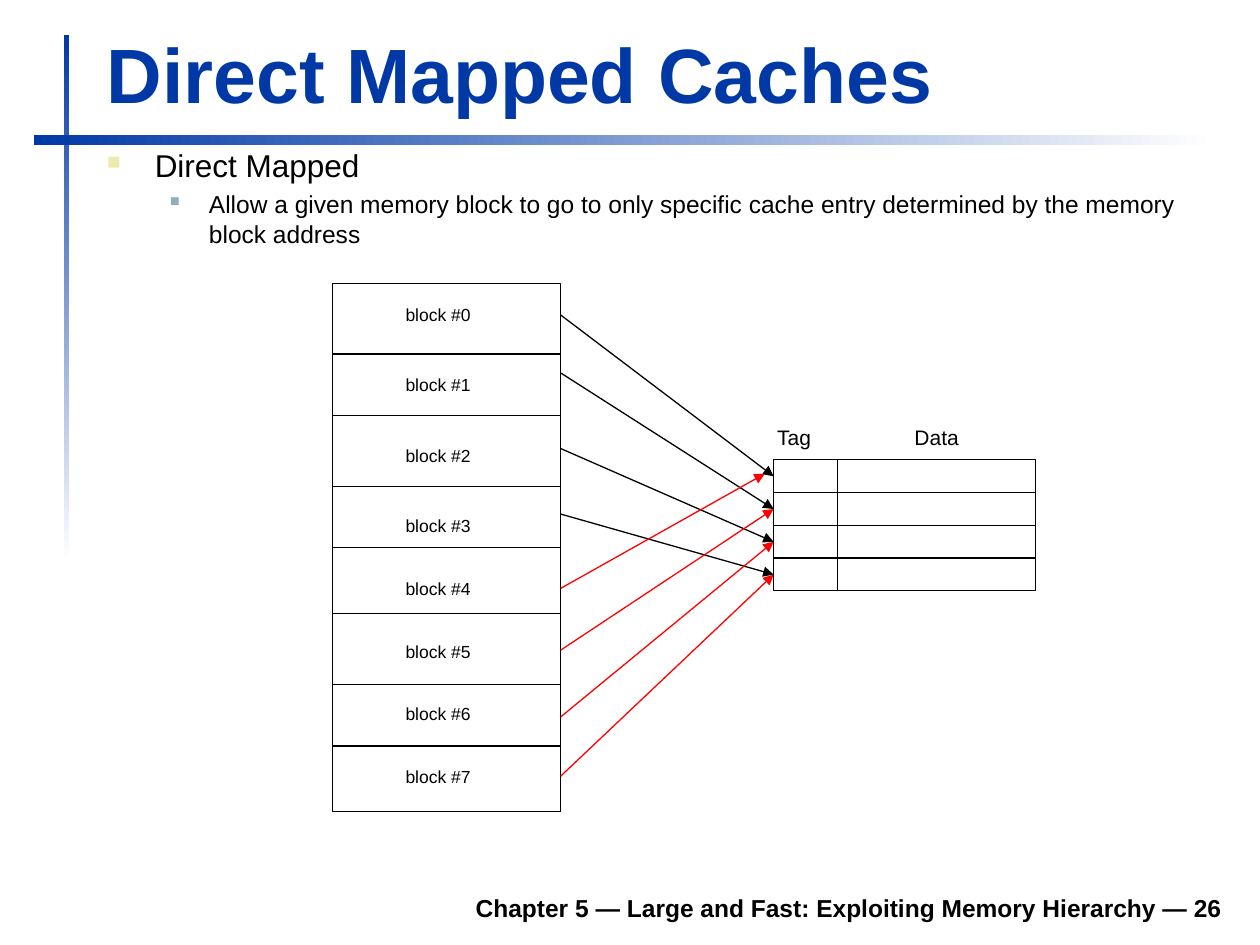
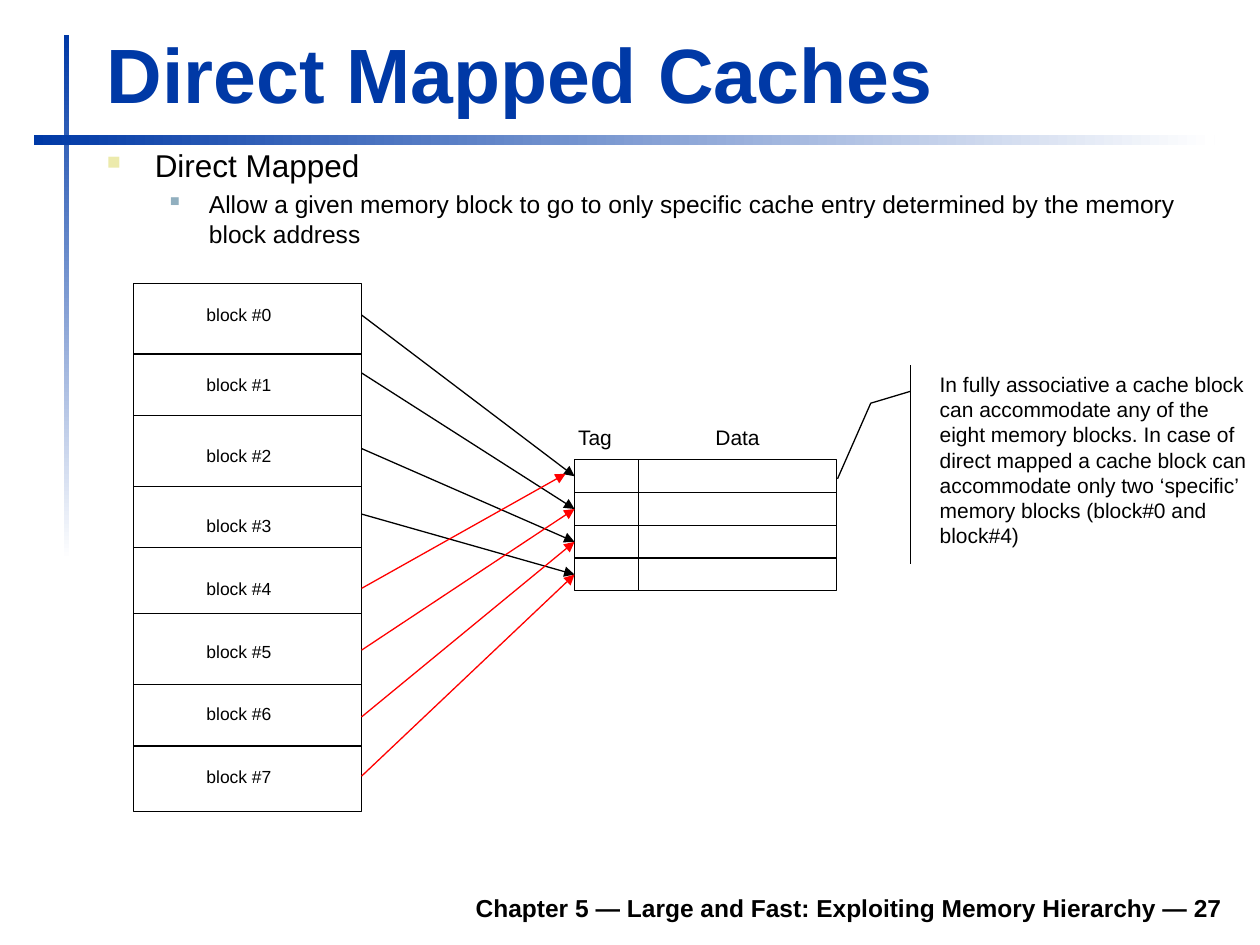
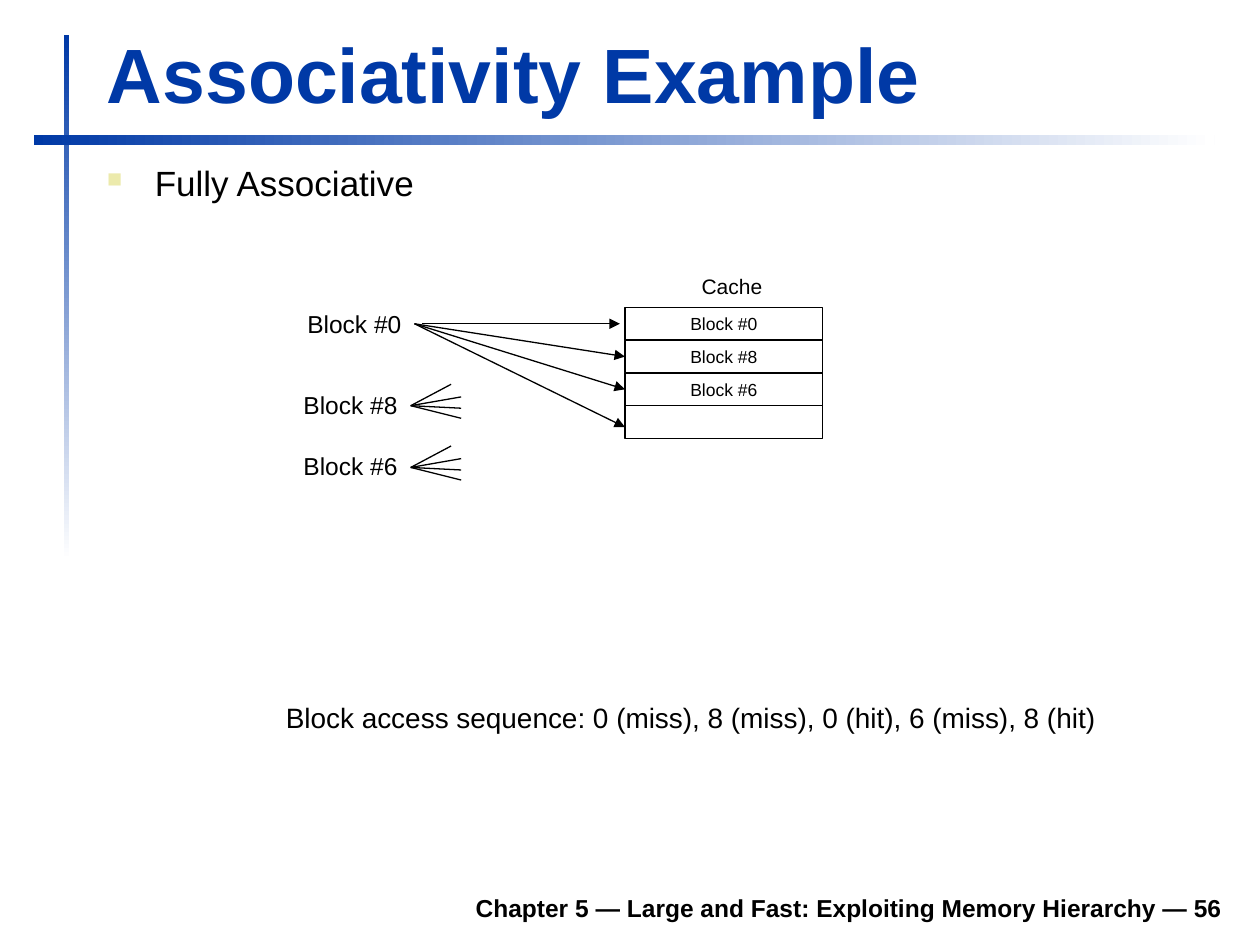
import pptx
import pptx.util
import pptx.dml.color
import pptx.enum.shapes
import pptx.enum.text
import pptx.oxml
import pptx.oxml.ns

Inches = pptx.util.Inches
Pt = pptx.util.Pt
rgb = pptx.dml.color.RGBColor.from_string
SHAPE = pptx.enum.shapes.MSO_SHAPE
ALIGN = pptx.enum.text.PP_ALIGN
ANCHOR = pptx.enum.text.MSO_ANCHOR

FONT = "Arial"
BLACK, BLUE, RED, WHITE = "000000", "0039A6", "FF0000", "FFFFFF"
NS = pptx.oxml.ns.nsdecls("a")


def block(slide, left, top, width, height, text="", size=10, color=BLACK, bold=False,
          kind=None, align=ALIGN.LEFT, anchor=ANCHOR.TOP, wrap=True):
    """Add a text box, or an outlined shape when a kind is given."""
    place = [Inches(n) for n in (left, top, width, height)]
    if kind is None:
        shape = slide.shapes.add_textbox(*place)
    else:
        shape = slide.shapes.add_shape(kind, *place)
        shape.shadow.inherit = False
        shape.fill.background()
        shape.line.color.rgb = rgb(BLACK)
        shape.line.width = Pt(0.75)
    frame = shape.text_frame
    frame.word_wrap = wrap
    frame.vertical_anchor = anchor
    if text:
        frame.text = text
        for para in frame.paragraphs:
            para.alignment = align
            font = para.runs[0].font
            font.name, font.size, font.bold = FONT, Pt(size), bold
            font.color.rgb = rgb(color)
    return shape


def link(slide, x1, y1, x2, y2, color=BLACK, arrow=False):
    """Add a straight line, with an arrowhead at its end on request."""
    line = slide.shapes.add_connector(
        pptx.enum.shapes.MSO_CONNECTOR.STRAIGHT, Inches(x1), Inches(y1), Inches(x2), Inches(y2))
    line.line.color.rgb = rgb(color)
    line.line.width = Pt(0.75)
    if arrow:
        line.line._get_or_add_ln().append(
            pptx.oxml.parse_xml(f'<a:tailEnd {NS} type="triangle"/>'))
    line._element.spPr.append(pptx.oxml.parse_xml(f"<a:effectLst {NS}/>"))
    return line


deck = pptx.Presentation()
deck.slide_width, deck.slide_height = Inches(10), Inches(7.5)

# Shared bands, title, bullets and footer
MAPPED = ("Direct Mapped\nAllow a given memory block to go to only specific cache entry "
          "determined by the memory block address")
BANDS = [(0.51, 0.28, 0.04, 4.17, 270), (0.27, 1.07, 9.37, 0.08, 0)]
# Indent, hanging part, bullet colour, bullet size in percent
LEVELS = [(0.38, 0.38, "ECEAAC", 60), (0.81, 0.31, "91AFBF", 55)]
PAGES = [
    ("Direct Mapped Caches", 26, MAPPED, 1.11, 0.81, [18, 14]),
    ("Direct Mapped Caches", 27, MAPPED, 1.11, 0.81, [18, 14]),
    ("Associativity Example", 56, "Fully Associative", 1.23, 0.37, [20]),
]
slides = []
for title, page, points, top, height, sizes in PAGES:
    slide = deck.slides.add_slide(deck.slide_layouts[6])
    slides.append(slide)
    for *place, angle in BANDS:
        band = block(slide, *place, kind=SHAPE.RECTANGLE)
        band.line.fill.background()
        band.fill.gradient()
        band.fill.gradient_angle = angle
        for stop, color in zip(band.fill.gradient_stops, (BLUE, WHITE)):
            stop.color.rgb = rgb(color)
    block(slide, 1.85, 6.98, 7.95, 0.39,
          f"Chapter 5 — Large and Fast: Exploiting Memory Hierarchy — {page}",
          14, bold=True, align=ALIGN.RIGHT, anchor=ANCHOR.BOTTOM)
    block(slide, 0.75, 0.15, 9.03, 0.84, title, 44, BLUE, True, anchor=ANCHOR.BOTTOM)
    body = block(slide, 0.75, top, 9.05, height, points)
    for level, para in enumerate(body.text_frame.paragraphs):
        indent, hang, color, scale = LEVELS[level]
        para.level = level
        para.runs[0].font.size = Pt(sizes[level])
        para.space_before = Pt(3)
        props = para._p.get_or_add_pPr()
        props.set("marL", str(Inches(indent)))
        props.set("indent", str(-Inches(hang)))
        for xml in (f'<a:buClr {NS}><a:srgbClr val="{color}"/></a:buClr>',
                    f'<a:buSzPct {NS} val="{scale * 1000}"/>',
                    f'<a:buChar {NS} char="■"/>'):
            props.append(pptx.oxml.parse_xml(xml))

# Direct mapped diagram: memory blocks on the left, cache on the right
NAMES = [2.36, 2.92, 3.48, 4.04, 4.54, 5.04, 5.53, 6.03]
RULES = [2.81, 3.3, 3.86, 4.35, 4.87, 5.43, 5.92]
STARTS = [2.5, 2.96, 3.56, 4.08, 4.67, 5.16, 5.69, 6.16]
ROW = 0.26
for slide, left in zip(slides, (2.64, 1.06)):
    right, tag = left + 1.81, left + 3.5
    data = tag + 0.51
    memory = block(slide, left, 2.25, 1.81, 4.19, kind=SHAPE.RECTANGLE)
    for y in RULES:
        rule = link(slide, left, y, right, y)
        if y == 4.35:
            rule.begin_connect(memory, 1)
            rule.end_connect(memory, 3)
    for i, y in enumerate(NAMES):
        block(slide, left + 0.48, y, 0.91, 0.28, f"block #{i}")

    block(slide, tag - 0.07, 3.32, 0.47, 0.3, "Tag", 12, wrap=False)
    block(slide, data + 0.51, 3.32, 0.56, 0.3, "Data", 12, wrap=False)
    tags = []
    for i in range(4):
        y = 3.65 + i * ROW
        tags.append(block(slide, tag, y, 0.51, ROW, kind=SHAPE.RECTANGLE))
        block(slide, data, y, 1.57, ROW, kind=SHAPE.RECTANGLE)

    # Each block goes to the row given by its number modulo four
    for i, y in enumerate(STARTS):
        color = BLACK if i < 4 else RED
        if i == 4:
            link(slide, right, y, tag - 0.07, 3.76, color, True)
        else:
            arrow = link(slide, right, y, tag, 3.78 + i % 4 * ROW, color, True)
            arrow.end_connect(tags[i % 4], 1)

# Callout on the second slide
note = block(slides[1], 7.36, 2.9, 2.64, 1.58,
             "In fully associative a cache block can accommodate any of the eight memory blocks. "
             "In case of direct mapped a cache block can accommodate only two ‘specific’ "
             "memory blocks (block#0 and block#4)", 12, kind=SHAPE.LINE_CALLOUT_2_ACCENT_BAR)
for i, value in enumerate((0.13, -0.05, 0.19, -0.17, 0.57, -0.27)):
    note.adjustments[i] = value

# Fully associative cache
slide = slides[2]
block(slide, 5.47, 2.12, 0.69, 0.3, "Cache", 12, wrap=False)
rows = []
for i, text in enumerate(("Block #0", "Block #8", "Block #6", "")):
    rows.append(block(slide, 4.96, 2.44 + i * ROW, 1.57, ROW, text, kind=SHAPE.RECTANGLE,
                      align=ALIGN.CENTER, anchor=ANCHOR.MIDDLE))

# Requested blocks and their possible places
for text, x, y in (("Block #0", 2.34, 2.4), ("Block #8", 2.31, 3.05), ("Block #6", 2.31, 3.53)):
    block(slide, x, y, 0.95, 0.34, text, 14, wrap=False)
link(slide, 3.35, 2.57, 4.92, 2.57, arrow=True)
for row, y in ((1, 2.83), (2, 3.09)):
    link(slide, 3.29, 2.57, 4.96, y, arrow=True).end_connect(rows[row], 1)
link(slide, 3.29, 2.57, 4.96, 3.39, arrow=True)
for y in (3.22, 3.71):
    for dx, dy in ((0.32, -0.17), (0.4, -0.07), (0.4, 0.02), (0.4, 0.1)):
        link(slide, 3.26, y, 3.26 + dx, y + dy)

# Access sequence
order = block(slide, 1.67, 5.51, 8.05, 0.37,
              "Block access sequence: 0 (miss), 8 (miss), 0 (hit), 6 (miss), 8 (hit)", 16)
para = order.text_frame.paragraphs[0]
para.level = 1
para._p.get_or_add_pPr().set("marL", str(Inches(0.5)))

deck.save("out.pptx")
